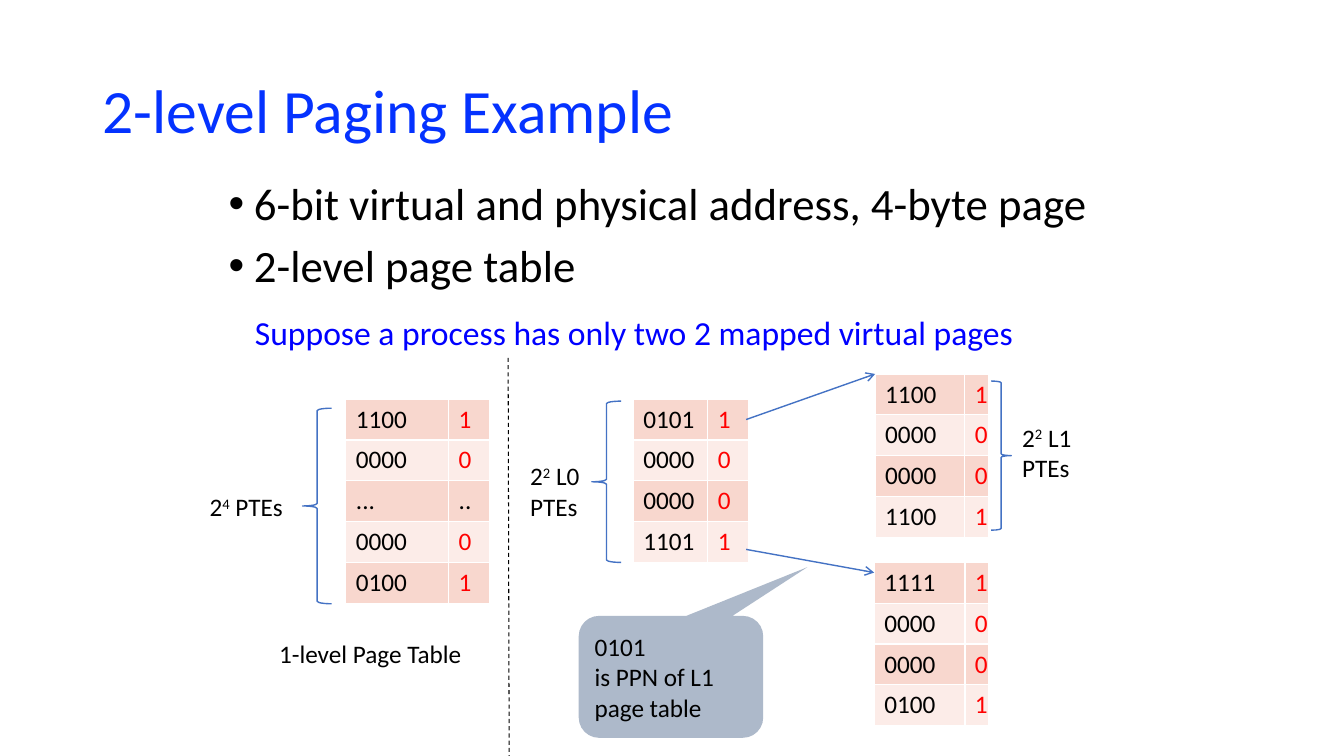
import pptx
import pptx.util
import pptx.dml.color
import pptx.enum.dml
import pptx.enum.shapes
import pptx.enum.text
import pptx.oxml
import pptx.oxml.ns

# Content; the grid has one unit per inch, boxes are (left, top, width, height)
WIDTH, HEIGHT = 13.33, 7.5
ROW = 1.62 / 4
FONT = "Calibri"
BLACK, RED, BLUE, WHITE = "000000", "FF0000", "4472C4", "FFFFFF"
BANDS = ("F8D7CE", "FCECE8")

TITLE = "2-level Paging Example"
BULLETS = ["6-bit virtual and physical address, 4-byte page", "2-level page table"]
CALLOUT = ["0101", "is PPN of L1", "page table"]

# ^ marks the start and the end of a superscript
LABELS = [
    (["Suppose a process has only two 2 mapped virtual pages"],
     (2.43, 3.05, 7.81, 0.5), 24, "0000FF"),
    (["2^4^ PTEs"], (1.98, 4.83, 0.95, 0.4), 18, BLACK),
    (["1-level Page Table"], (2.67, 6.28, 2.06, 0.4), 18, BLACK),
    (["2^2^ L0", "PTEs"], (5.16, 4.52, 0.77, 0.71), 18, BLACK),
    (["2^2^ L1", "PTEs"], (10.04, 4.14, 0.77, 0.71), 18, BLACK),
]

# name: (left, top), column widths, rows
PAGE_TABLES = {
    "one level": ((3.43, 3.96), (1.02, 0.41),
                  ["1100 1", "0000 0", "... ..", "0000 0", "0100 1"]),
    "L0": ((6.28, 3.96), (0.74, 0.4), ["0101 1", "0000 0", "0000 0", "1101 1"]),
    "L1 first": ((8.68, 3.71), (0.89, 0.23), ["1100 1", "0000 0", "0000 0", "1100 1"]),
    "L1 last": ((8.67, 5.58), (0.9, 0.23), ["1111 1", "0000 0", "0000 0", "0100 1"]),
}

SHAPES = pptx.enum.shapes.MSO_SHAPE
BRACES = [
    (SHAPES.LEFT_BRACE, (3, 4.05, 0.29, 1.94)),
    (SHAPES.LEFT_BRACE, (5.87, 3.98, 0.29, 1.6)),
    (SHAPES.RIGHT_BRACE, (9.83, 3.78, 0.2, 1.48)),
]

# table, distance below the top of L0 in rows, distance below the table's top
POINTERS = [("L1 first", 0.5, 0), ("L1 last", 3.68, 0.1)]

presentation = pptx.Presentation()
presentation.slide_width = pptx.util.Inches(WIDTH)
presentation.slide_height = pptx.util.Inches(HEIGHT)
slide = presentation.slides.add_slide(presentation.slide_layouts[6])


def inches(lengths):
    return [pptx.util.Inches(length) for length in lengths]


def color(value):
    return pptx.dml.color.RGBColor.from_string(value)


def add_xml(parent, tag, index=None, **attributes):
    element = pptx.oxml.parse_xml(f"<a:{tag} {pptx.oxml.ns.nsdecls('a')}/>")
    for name, value in attributes.items():
        element.set(name, str(value))
    parent.insert(len(parent) if index is None else index, element)
    return element


def write(frame, lines, size=18, ink=BLACK, spacing=None, before=0, bullet=None,
          anchor=pptx.enum.text.MSO_ANCHOR.TOP):
    frame.vertical_anchor = anchor
    for number, line in enumerate(lines):
        paragraph = frame.add_paragraph() if number else frame.paragraphs[0]
        paragraph.alignment = pptx.enum.text.PP_ALIGN.LEFT
        if bullet:
            indent = pptx.util.Inches(0.25)
            properties = paragraph._p.get_or_add_pPr()
            properties.set("marL", str(indent))
            properties.set("indent", str(-indent))
            add_xml(properties, "buFont", typeface="Arial")
            add_xml(properties, "buChar", char=bullet)
        if spacing:
            paragraph.line_spacing = spacing
        if number and before:
            paragraph.space_before = pptx.util.Pt(before)
        for part, text in enumerate(line.split("^")):
            run = paragraph.add_run()
            run.text = text
            run.font.name = FONT
            run.font.size = pptx.util.Pt(size)
            run.font.color.rgb = color(ink)
            if part % 2:
                run._r.get_or_add_rPr().set("baseline", "30000")


def add_text(lines, box, wrap=True, **text_format):
    frame = slide.shapes.add_textbox(*inches(box)).text_frame
    frame.word_wrap = wrap
    if not wrap:
        frame.auto_size = pptx.enum.text.MSO_AUTO_SIZE.SHAPE_TO_FIT_TEXT
    write(frame, lines, **text_format)


def add_page_table(corner, widths, rows):
    box = (*corner, sum(widths), ROW * len(rows))
    table = slide.shapes.add_table(len(rows), len(widths), *inches(box)).table
    table.first_row = table.horz_banding = False
    for column, width in zip(table.columns, inches(widths)):
        column.width = width
    for row_number, row in enumerate(rows):
        table.rows[row_number].height = pptx.util.Inches(ROW)
        for column_number, text in enumerate(row.split()):
            cell = table.cell(row_number, column_number)
            cell.fill.solid()
            cell.fill.fore_color.rgb = color(BANDS[row_number % 2])
            is_flag = column_number == 1 and text.isdigit()
            write(cell.text_frame, [text], ink=RED if is_flag else BLACK)
            properties = cell._tc.get_or_add_tcPr()
            for index, side in enumerate(("lnL", "lnR", "lnT", "lnB")):
                border = add_xml(properties, side, index, w=pptx.util.Pt(1))
                add_xml(add_xml(border, "solidFill"), "srgbClr", val=WHITE)


def add_line(start, end, ink, width, dash=None, arrow=False):
    line = slide.shapes.add_connector(
        pptx.enum.shapes.MSO_CONNECTOR.STRAIGHT, *inches((*start, *end)))
    line.line.color.rgb = color(ink)
    line.line.width = pptx.util.Pt(width)
    if dash:
        line.line.dash_style = dash
    if arrow:
        add_xml(line.line._get_or_add_ln(), "tailEnd", type="arrow")
    add_xml(line._element.spPr, "effectLst")


# Heading, bullets and labels
add_text([TITLE], (0.92, 0.4, 11.5, 1.45), size=44, ink="0432FF", spacing=0.9,
         anchor=pptx.enum.text.MSO_ANCHOR.MIDDLE)
add_text(BULLETS, (2.17, 1.75, 9, 1.21), size=32, spacing=0.9, before=10, bullet="•")
for lines, box, size, ink in LABELS:
    add_text(lines, box, wrap=False, size=size, ink=ink)

# Page tables and their braces
for corner, widths, rows in PAGE_TABLES.values():
    add_page_table(corner, widths, rows)
for kind, box in BRACES:
    brace = slide.shapes.add_shape(kind, *inches(box))
    brace.shadow.inherit = False
    brace.fill.background()
    brace.line.color.rgb = color(BLUE)
    brace.line.width = pptx.util.Pt(1)

# Arrows from the L0 entries to the L1 tables
(l0_left, l0_top), l0_widths, _ = PAGE_TABLES["L0"]
for name, rows_down, drop in POINTERS:
    left, top = PAGE_TABLES[name][0]
    add_line((l0_left + sum(l0_widths) - 0.02, l0_top + rows_down * ROW),
             (left, top + drop), BLUE, 1, arrow=True)

# Callout
callout = slide.shapes.add_shape(SHAPES.ROUNDED_RECTANGULAR_CALLOUT,
                                 *inches((5.74, 6.11, 1.83, 1.21)))
callout.shadow.inherit = False
callout.fill.solid()
callout.fill.fore_color.rgb = color("ADB9CA")
callout.line.fill.background()
callout.adjustments[0] = 0.74
callout.adjustments[1] = -0.9
callout.text_frame.word_wrap = True
write(callout.text_frame, CALLOUT, anchor=pptx.enum.text.MSO_ANCHOR.MIDDLE)

# Divider between the one-level and two-level halves
add_line((5.04, 3.55), (5.05, HEIGHT), BLACK, 0.75,
         dash=pptx.enum.dml.MSO_LINE.DASH)

presentation.save("out.pptx")
